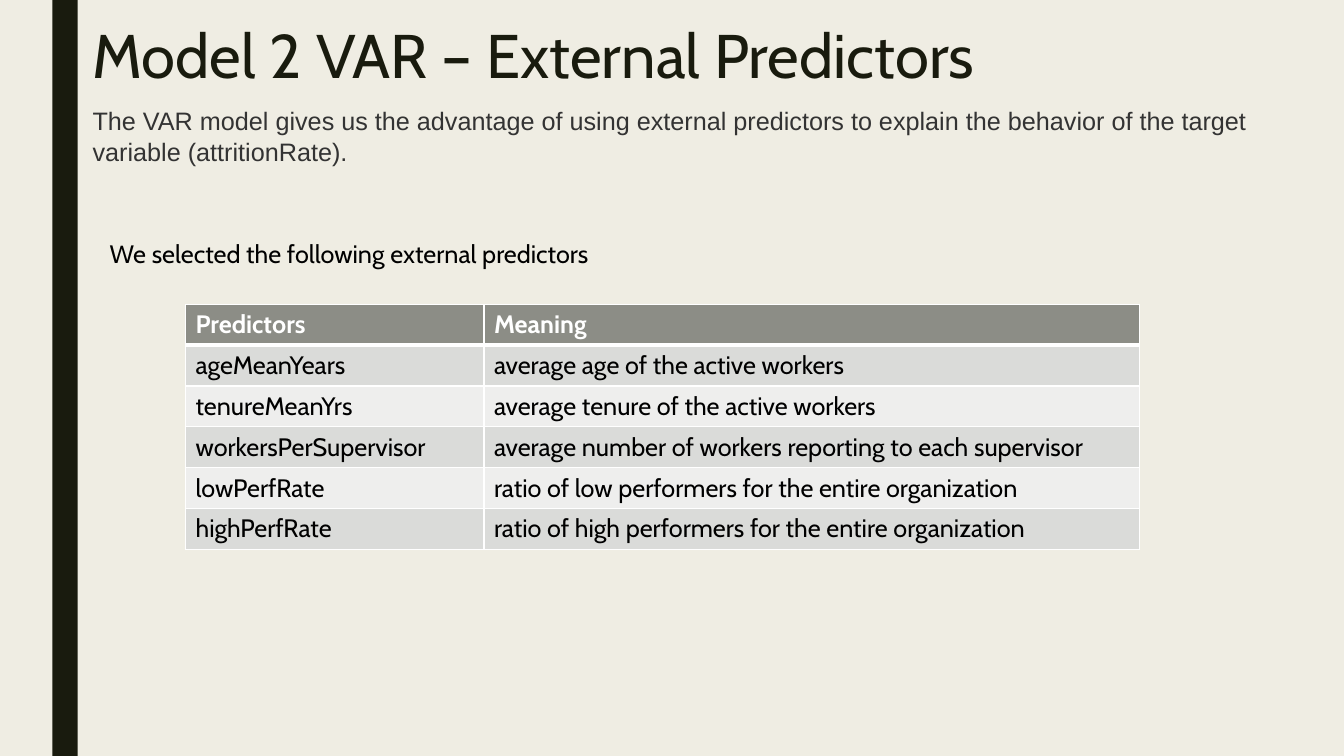
from lxml.etree import SubElement
from pptx import Presentation
from pptx.dml.color import RGBColor
from pptx.enum.shapes import MSO_SHAPE as Shape
from pptx.enum.text import MSO_ANCHOR as Anchor
from pptx.oxml.ns import qn
from pptx.util import Inches, Pt

INK, BLACK, WHITE = "191B0E", "000000", "FFFFFF"
HEADER_FILL, ROW_FILLS = "8C8D86", ("DADBD9", "EEEEED")
COLUMN_WIDTHS, ROW_HEIGHT = (2.96, 6.5), 0.405
PREDICTORS = [
    ("Predictors", "Meaning"),
    ("ageMeanYears", "average age of the active workers"),
    ("tenureMeanYrs", "average tenure of the active workers"),
    ("workersPerSupervisor", "average number of workers reporting to each supervisor"),
    ("lowPerfRate", "ratio of low performers for the entire organization"),
    ("highPerfRate", "ratio of high performers for the entire organization"),
]


def paint(fill, color):
    fill.solid()
    fill.fore_color.rgb = RGBColor.from_string(color)


def write(frame, text, size=18, font="Cabin", color=BLACK, bold=False, spacing=None):
    frame.word_wrap = True
    paragraph = frame.paragraphs[0]
    paragraph.line_spacing = spacing
    run = paragraph.add_run()
    run.text = text
    run.font.size = Pt(size)
    run.font.name = font
    run.font.bold = bold
    run.font.color.rgb = RGBColor.from_string(color)


def add_text(slide, box, text, **text_format):
    frame = slide.shapes.add_textbox(*map(Inches, box)).text_frame
    frame.vertical_anchor = Anchor.TOP
    write(frame, text, **text_format)


def add_side_bar(slide, box):
    bar = slide.shapes.add_shape(Shape.RECTANGLE, *map(Inches, box))
    bar.shadow.inherit = False
    paint(bar.fill, INK)
    bar.line.fill.background()


def add_heading(slide, box):
    left, top, width, height = box
    add_text(slide, (left, top, 11.5, height), "Model 2 VAR – External Predictors",
             size=44, color=INK, spacing=0.89)
    add_text(slide, (left, top + 0.79, width, 0.71),
             "The VAR model gives us the advantage of using external predictors to explain "
             "the behavior of the target variable (attritionRate).",
             font="Arial", color="333333")


def set_borders(cell, widths):
    properties = cell._tc.get_or_add_tcPr()
    for side, width in widths.items():
        border = SubElement(properties, qn(f"a:ln{side}"), w=str(Pt(width)))
        SubElement(SubElement(border, qn("a:solidFill")), qn("a:srgbClr"), val=WHITE)


def add_predictor_table(slide, box):
    predictors = slide.shapes.add_table(
        len(PREDICTORS), len(COLUMN_WIDTHS), *map(Inches, box)).table
    for column, width in zip(predictors.columns, COLUMN_WIDTHS):
        column.width = Inches(width)
    for row_index, texts in enumerate(PREDICTORS):
        predictors.rows[row_index].height = Inches(ROW_HEIGHT)
        is_header = row_index == 0
        fill = HEADER_FILL if is_header else ROW_FILLS[(row_index - 1) % 2]
        widths = {"L": 1, "R": 1, "T": 3 if row_index == 1 else 1, "B": 3 if is_header else 1}
        for column_index, text in enumerate(texts):
            cell = predictors.cell(row_index, column_index)
            set_borders(cell, widths)
            paint(cell.fill, fill)
            write(cell.text_frame, text, color=WHITE if is_header else BLACK, bold=is_header)


def build_predictors_slide(deck):
    slide = deck.slides.add_slide(deck.slide_layouts[6])
    paint(slide.background.fill, "EFEDE3")
    add_side_bar(slide, (0.52, 0, 0.25, 7.5))
    add_heading(slide, (0.82, 0.21, 12.15, 0.79))
    add_text(slide, (0.99, 2.32, 5.07, 0.4), "We selected the following external predictors")
    add_predictor_table(
        slide, (1.84, 3.02, sum(COLUMN_WIDTHS), ROW_HEIGHT * len(PREDICTORS)))


def main():
    deck = Presentation()
    deck.slide_width, deck.slide_height = Inches(13.33), Inches(7.5)
    build_predictors_slide(deck)
    deck.save("out.pptx")


if __name__ == "__main__":
    main()
